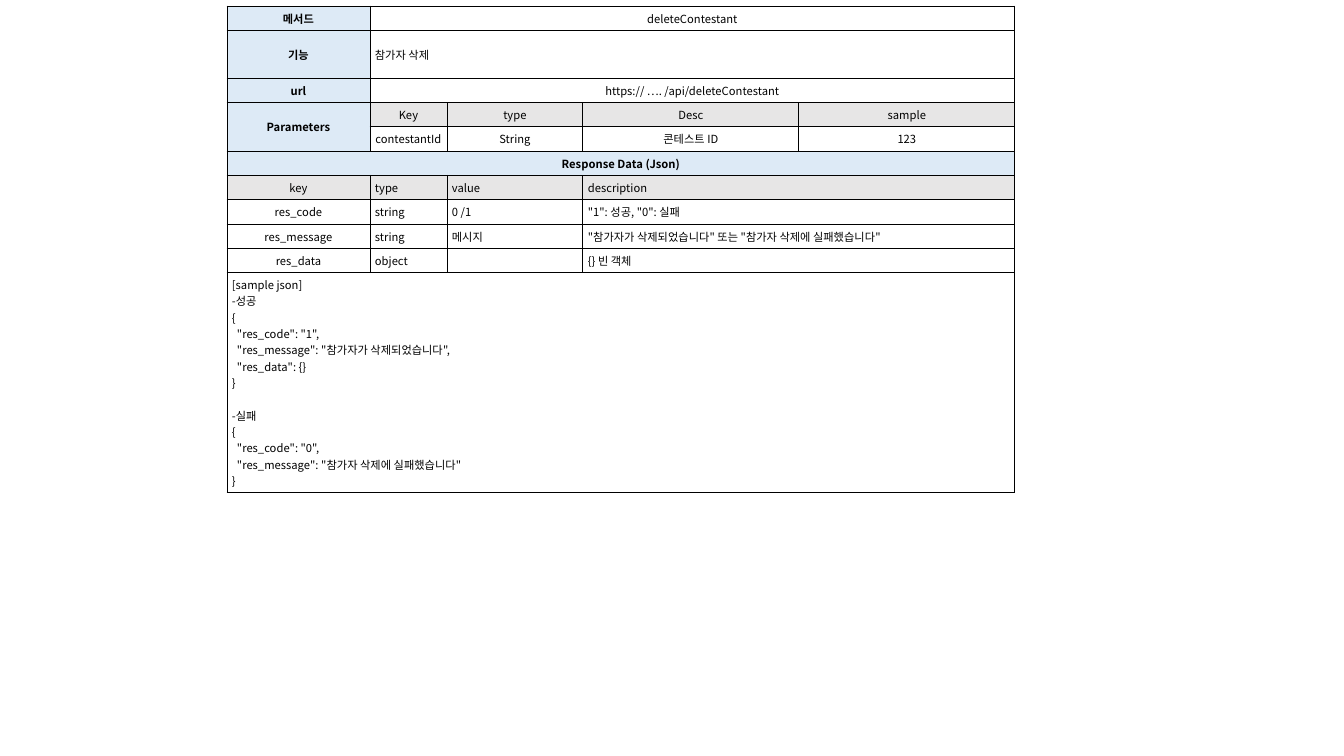
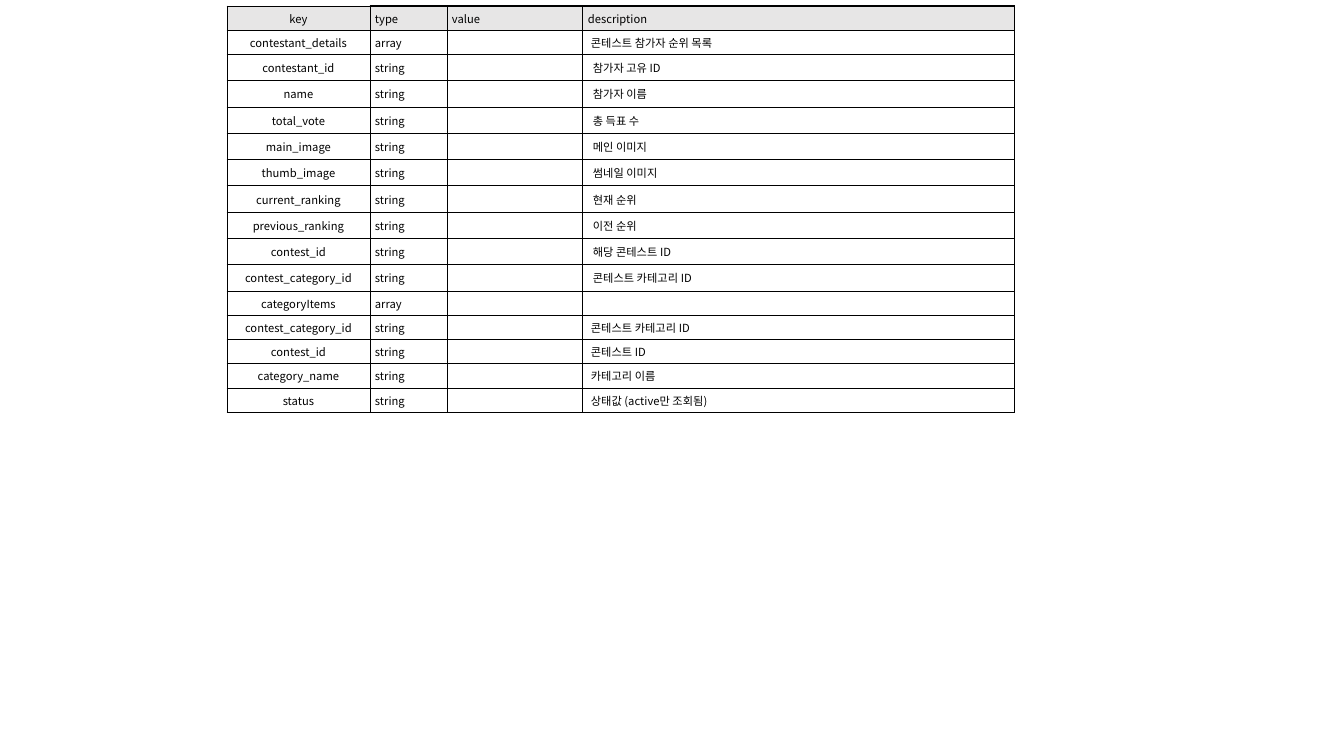
import dataclasses

import lxml.etree
import pptx
import pptx.dml.color
import pptx.enum.text
import pptx.oxml.ns
import pptx.util

ALIGN = pptx.enum.text.PP_ALIGN
ANCHOR = pptx.enum.text.MSO_ANCHOR
BLACK, WHITE, BLUE, GREY = "000000", "FFFFFF", "DDEAF6", "E7E6E6"
PX_PER_INCH = 100.8
LEFT, TOP = 227, 6
ROW, TALL_ROW = 24, 26
NAME, TYPE, VALUE, HALF = 143, 77, 136, 216


def px(length):
    return pptx.util.Emu(round(length * 914400 / PX_PER_INCH))


def colour(value):
    return pptx.dml.color.RGBColor.from_string(value)


def add_xml(parent, tag, **attributes):
    return lxml.etree.SubElement(parent, pptx.oxml.ns.qn(tag), attributes)


@dataclasses.dataclass
class Cell:
    text: str = ""
    fill: str = WHITE
    bold: bool = False
    centred: bool = False
    columns: int = 1
    rows: int = 1
    anchor: ANCHOR = ANCHOR.MIDDLE
    inset: tuple = (5, 4)
    gap_before: str = ""


def label(text, **options):
    return Cell(text, BLUE, bold=True, centred=True, **options)


def head(text, centred=False, columns=1):
    return Cell(text, GREY, centred=centred, columns=columns)


def centre(text, columns=1):
    return Cell(text, centred=True, columns=columns)


def field_head(columns=1):
    return [head("key", True), head("type"), head("value"), head("description", columns=columns)]


class Deck:
    font = "Noto Sans CJK KR"
    size = 8
    line = 0.75

    def __init__(self):
        self.presentation = pptx.Presentation()
        self.presentation.slide_width = px(1344)
        self.presentation.slide_height = px(756)
        self.slide = None

    def add_slide(self):
        self.slide = self.presentation.slides.add_slide(self.presentation.slide_layouts[6])

    def add_run(self, paragraph, text, bold):
        run = paragraph.add_run()
        run.text = text
        run.font.size = pptx.util.Pt(self.size)
        run.font.bold = bold
        run.font.color.rgb = colour(BLACK)
        run.font.name = self.font
        add_xml(run.font._element, "a:ea", typeface=self.font)

    def add_borders(self, cell, top):
        properties = cell._tc.get_or_add_tcPr()
        for side in "LRTB":
            width = pptx.util.Pt(top if side == "T" else self.line)
            border = add_xml(properties, "a:ln" + side, w=str(int(width)))
            add_xml(add_xml(border, "a:solidFill"), "a:srgbClr", val=BLACK)

    def fill_cell(self, target, cell):
        target.fill.solid()
        target.fill.fore_color.rgb = colour(cell.fill)
        target.vertical_anchor = cell.anchor
        target.margin_left = target.margin_right = px(cell.inset[0])
        target.margin_top = target.margin_bottom = px(cell.inset[1])
        frame = target.text_frame
        for index, text in enumerate(cell.text.split("\n")):
            paragraph = frame.add_paragraph() if index else frame.paragraphs[0]
            paragraph.alignment = ALIGN.CENTER if cell.centred else ALIGN.LEFT
            if text and text == cell.gap_before:
                paragraph.space_before = pptx.util.Pt(11.7)
            if text:
                self.add_run(paragraph, text, cell.bold)
            else:
                add_xml(paragraph._p, "a:endParaRPr", sz=str(self.size * 100))

    def add_table(self, widths, heights, rows, heavy_top=()):
        """Place cells left to right, stepping over the ones a span covers."""
        frame = self.slide.shapes.add_table(
            len(rows), len(widths), px(LEFT), px(TOP), px(sum(widths)), px(sum(heights)))
        table = frame.table
        table.first_row = table.horz_banding = False
        for column, width in zip(table.columns, widths):
            column.width = px(width)
        for row, height in zip(table.rows, heights):
            row.height = px(height)
        for row_index, row in enumerate(rows):
            cells = iter(row)
            for column_index in range(len(widths)):
                target = table.cell(row_index, column_index)
                heavy = row_index == 0 and column_index in heavy_top
                self.add_borders(target, 1 if heavy else self.line)
                if target.is_spanned:
                    self.fill_cell(target, Cell())
                    continue
                cell = next(cells)
                if cell.columns > 1 or cell.rows > 1:
                    target.merge(table.cell(row_index + cell.rows - 1,
                                            column_index + cell.columns - 1))
                self.fill_cell(target, cell)


SAMPLE_JSON = """[sample json]
-성공
{
  "res_code": "1",
  "res_message": "참가자가 삭제되었습니다",
  "res_data": {}
}
-실패
{
  "res_code": "0",
  "res_message": "참가자 삭제에 실패했습니다"
}"""

RESPONSES = [
    ("res_code", "string", "0 /1", '"1": 성공, "0": 실패'),
    ("res_message", "string", "메시지",
     '"참가자가 삭제되었습니다" 또는 "참가자 삭제에 실패했습니다"'),
    ("res_data", "object", "", "{} 빈 객체"),
]

NARROW, WIDE = (8, 4), (10, 5)
FIELDS = [
    ("contestant_details", "array", "콘테스트 참가자 순위 목록", NARROW),
    ("contestant_id", "string", "참가자 고유 ID", WIDE),
    ("name", "string", "참가자 이름", WIDE),
    ("total_vote", "string", "총 득표 수", WIDE),
    ("main_image", "string", "메인 이미지", WIDE),
    ("thumb_image", "string", "썸네일 이미지", WIDE),
    ("current_ranking", "string", "현재 순위", WIDE),
    ("previous_ranking", "string", "이전 순위", WIDE),
    ("contest_id", "string", "해당 콘테스트 ID", WIDE),
    ("contest_category_id", "string", "콘테스트 카테고리 ID", WIDE),
    ("categoryItems", "array", "", NARROW),
    ("contest_category_id", "string", "콘테스트 카테고리 ID", NARROW),
    ("contest_id", "string", "콘테스트 ID", NARROW),
    ("category_name", "string", "카테고리 이름", NARROW),
    ("status", "string", "상태값 (active만 조회됨)", NARROW),
]


def add_method_slide(deck):
    deck.add_slide()
    rows = [
        [label("메서드"), centre("deleteContestant", columns=4)],
        [label("기능"), Cell("참가자 삭제", columns=4)],
        [label("url"), centre("https:// …. /api/deleteContestant", columns=4)],
        [label("Parameters", rows=2)]
        + [head(text, True) for text in ("Key", "type", "Desc", "sample")],
        [centre(text) for text in ("contestantId", "String", "콘테스트 ID", "123")],
        [label("Response Data (Json)", columns=5)],
        field_head(columns=2),
    ]
    for name, kind, value, description in RESPONSES:
        rows.append([centre(name), Cell(kind), Cell(value), Cell(description, columns=2)])
    rows.append([Cell(SAMPLE_JSON, columns=5, anchor=ANCHOR.TOP, gap_before="-실패")])
    heights = [ROW, 2 * ROW] + [ROW] * 8 + [220]
    deck.add_table([NAME, TYPE, VALUE, HALF, HALF], heights, rows)


def add_fields_slide(deck):
    deck.add_slide()
    rows, heights = [field_head()], [ROW]
    for name, kind, description, inset in FIELDS:
        rows.append([centre(name), Cell(kind), Cell(), Cell(description, inset=inset)])
        heights.append(TALL_ROW if inset == WIDE else ROW)
    deck.add_table([NAME, TYPE, VALUE, 2 * HALF], heights, rows, heavy_top=(1, 2, 3))


def main():
    deck = Deck()
    add_method_slide(deck)
    add_fields_slide(deck)
    deck.presentation.save("out.pptx")


if __name__ == "__main__":
    main()
